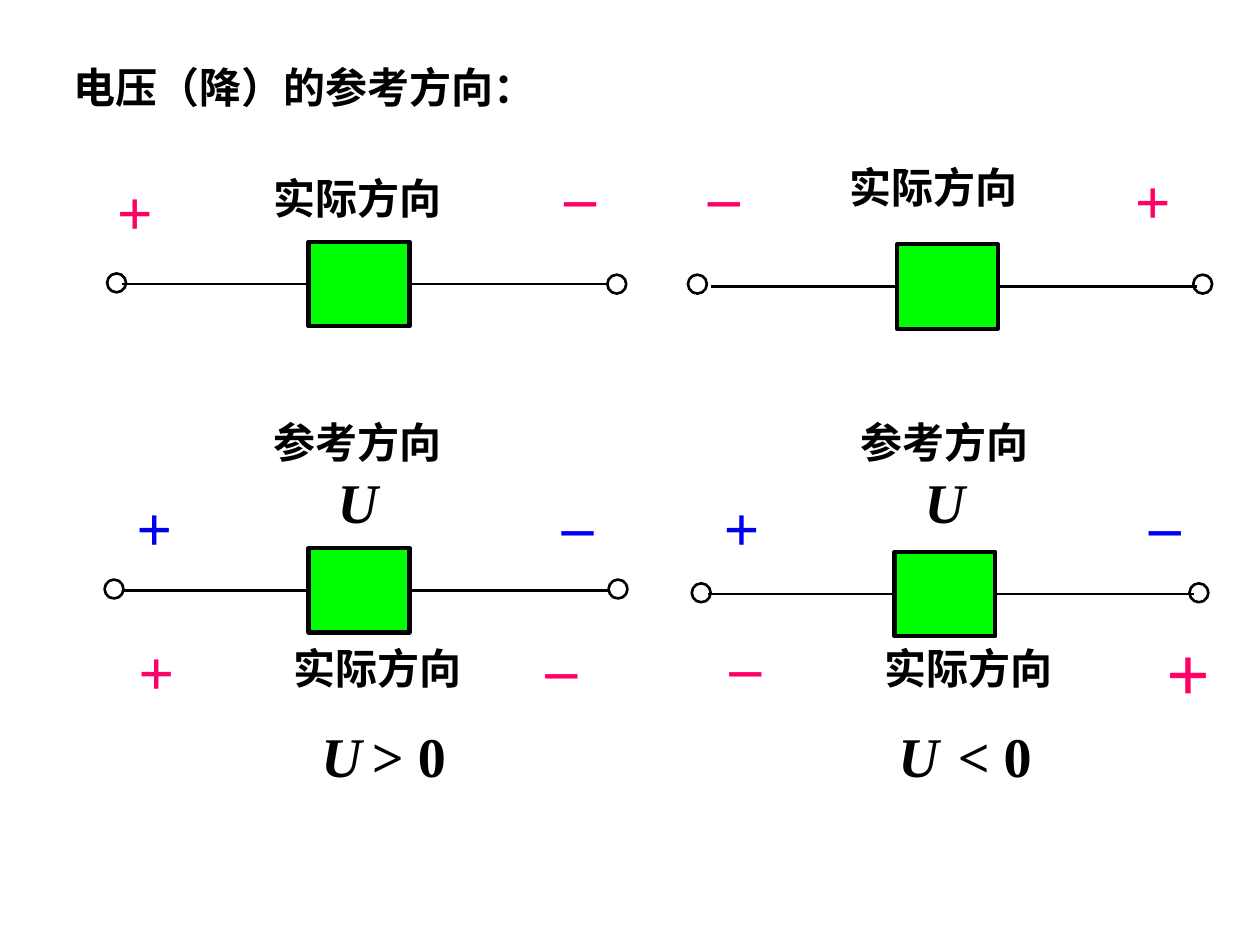
"""Build a slide on the reference direction of voltage drop."""
from lxml import etree
from pptx import Presentation
from pptx.dml.color import RGBColor
from pptx.enum.shapes import MSO_CONNECTOR, MSO_SHAPE
from pptx.enum.text import MSO_ANCHOR, MSO_AUTO_SIZE, PP_ALIGN
from pptx.oxml.ns import qn
from pptx.util import Inches, Pt

STRAIGHT = MSO_CONNECTOR.STRAIGHT
RECTANGLE, OVAL = MSO_SHAPE.RECTANGLE, MSO_SHAPE.OVAL
MIDDLE, CENTER = MSO_ANCHOR.MIDDLE, PP_ALIGN.CENTER
FIT_TEXT = MSO_AUTO_SIZE.SHAPE_TO_FIT_TEXT
LEFT_SIDE, RIGHT_SIDE = 1, 3

BLACK = RGBColor(0x00, 0x00, 0x00)
GREEN = RGBColor(0x00, 0xFF, 0x00)
PINK = RGBColor(0xFF, 0x00, 0x66)
BLUE = RGBColor(0x00, 0x00, 0xF0)
FONT = "Times New Roman"

ELEMENT_W, ELEMENT_H, TERMINAL = 0.8, 0.67, 0.15
ACTUAL, REFERENCE = "实际方向", "参考方向"

TITLE = ("电压（降）的参考方向：", 0.47, 0.44, 3.89)

# element left, top, line width; wire ends; terminal lefts; terminal tops
CIRCUITS = [
    ((2.45, 1.92, 2.5), (0.97, 4.83), (0.85, 4.82), (2.17, 2.18)),
    ((7.12, 1.94, 2.25), (5.64, 9.5), (5.46, 9.47), (2.18, 2.18)),
    ((2.45, 4.35, 2.5), (0.97, 4.83), (0.83, 4.83), (4.6, 4.6)),
    ((7.1, 4.38, 2.5), (5.62, 9.48), (5.49, 9.44), (4.63, 4.63)),
]
ACTUAL_LABELS = [(2.07, 1.32), (6.64, 1.23), (2.23, 5.05), (6.92, 5.05)]
REFERENCE_LABELS = [(2.07, 3.26), (6.73, 3.26)]

# sign, left, top, width, height, size, colour
POLARITIES = [
    ("+", 0.5, 1.32, 1.14, 0.7, 36, PINK),
    ("–", 4.38, 1.19, 0.45, 0.7, 36, PINK),
    ("–", 5.52, 1.19, 0.45, 0.7, 36, PINK),
    ("+", 8.58, 1.23, 1.14, 0.7, 36, PINK),
    ("+", 0.81, 3.83, 0.83, 0.7, 36, BLUE),
    ("–", 4.17, 3.8, 0.83, 0.7, 36, BLUE),
    ("+", 5.47, 3.83, 0.83, 0.7, 36, BLUE),
    ("–", 8.83, 3.8, 0.83, 0.7, 36, BLUE),
    ("+", 0.67, 4.97, 1.14, 0.7, 36, PINK),
    ("–", 4.23, 4.94, 0.45, 0.7, 36, PINK),
    ("–", 5.69, 4.92, 0.45, 0.7, 36, PINK),
    ("+", 8.86, 4.91, 1.14, 0.83, 44, PINK),
]
# relation, left of U, left of relation
RESULTS = [("> 0", 2.45, 2.85), ("< 0", 7.03, 7.5)]
RESULT_TOP = 5.68


def add_label(slide, lines, left, top, width, height, color=BLACK):
    """Add centred lines, each given as text, size and italic."""
    label = slide.shapes.add_textbox(*map(Inches, (left, top, width, height)))
    frame = label.text_frame
    frame.word_wrap = False
    frame.auto_size = FIT_TEXT
    frame.vertical_anchor = MIDDLE
    for index, (text, size, italic) in enumerate(lines):
        paragraph = frame.add_paragraph() if index else frame.paragraphs[0]
        paragraph.alignment = CENTER
        run = paragraph.add_run()
        run.text = text
        run.font.name = FONT
        run.font.size = Pt(size)
        run.font.bold = True
        run.font.italic = italic
        run.font.color.rgb = color


def add_outline(slide, kind, left, top, width, height, weight):
    """Add an unfilled black outline."""
    outline = slide.shapes.add_shape(kind, *map(Inches, (left, top, width, height)))
    outline.shadow.inherit = False
    outline.fill.background()
    outline.line.color.rgb = BLACK
    outline.line.width = Pt(weight)
    return outline


def add_circuit(slide, element_place, wire_ends, terminal_lefts, terminal_tops):
    """Add an element with a wire and a terminal on either side."""
    left, top, weight = element_place
    element = add_outline(slide, RECTANGLE, left, top, ELEMENT_W, ELEMENT_H, weight)
    element.fill.solid()
    element.fill.fore_color.rgb = GREEN
    level = Inches(top + ELEMENT_H / 2)
    for side, end in zip((LEFT_SIDE, RIGHT_SIDE), wire_ends):
        wire = slide.shapes.add_connector(STRAIGHT, Inches(left), level, Inches(end), level)
        wire.begin_connect(element, side)
        wire.line.color.rgb = BLACK
        wire.line.width = Pt(1.5)
        etree.SubElement(wire.line._get_or_add_ln().getparent(), qn("a:effectLst"))
    for terminal_left, terminal_top in zip(terminal_lefts, terminal_tops):
        add_outline(slide, OVAL, terminal_left, terminal_top, TERMINAL, TERMINAL, 1.5)


def main():
    """Build and save the slide."""
    deck = Presentation()
    deck.slide_width, deck.slide_height = Inches(10), Inches(7.5)
    slide = deck.slides.add_slide(deck.slide_layouts[6])
    title, left, top, width = TITLE
    add_label(slide, [(title, 24, False)], left, top, width, 0.5)
    for circuit in CIRCUITS:
        add_circuit(slide, *circuit)
    for left, top in ACTUAL_LABELS:
        add_label(slide, [(ACTUAL, 24, False)], left, top, 1.54, 0.5)
    for left, top in REFERENCE_LABELS:
        add_label(slide, [(REFERENCE, 24, False), ("U", 32, True)], left, top, 1.54, 1.03)
    for sign, left, top, width, height, size, color in POLARITIES:
        add_label(slide, [(sign, size, False)], left, top, width, height, color)
    for relation, voltage_left, relation_left in RESULTS:
        add_label(slide, [("U", 32, True)], voltage_left, RESULT_TOP, 0.52, 0.63)
        add_label(slide, [(relation, 32, False)], relation_left, RESULT_TOP, 0.79, 0.63)
    deck.save("out.pptx")


if __name__ == "__main__":
    main()
